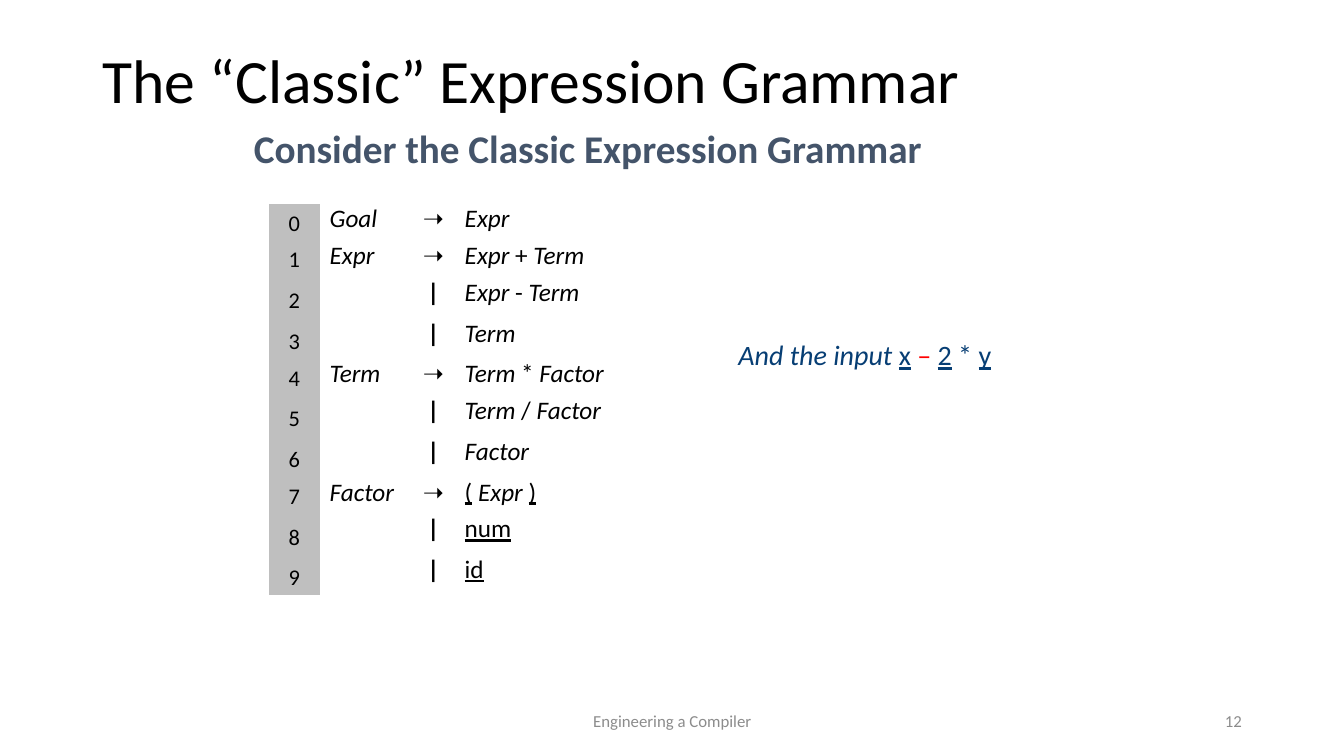
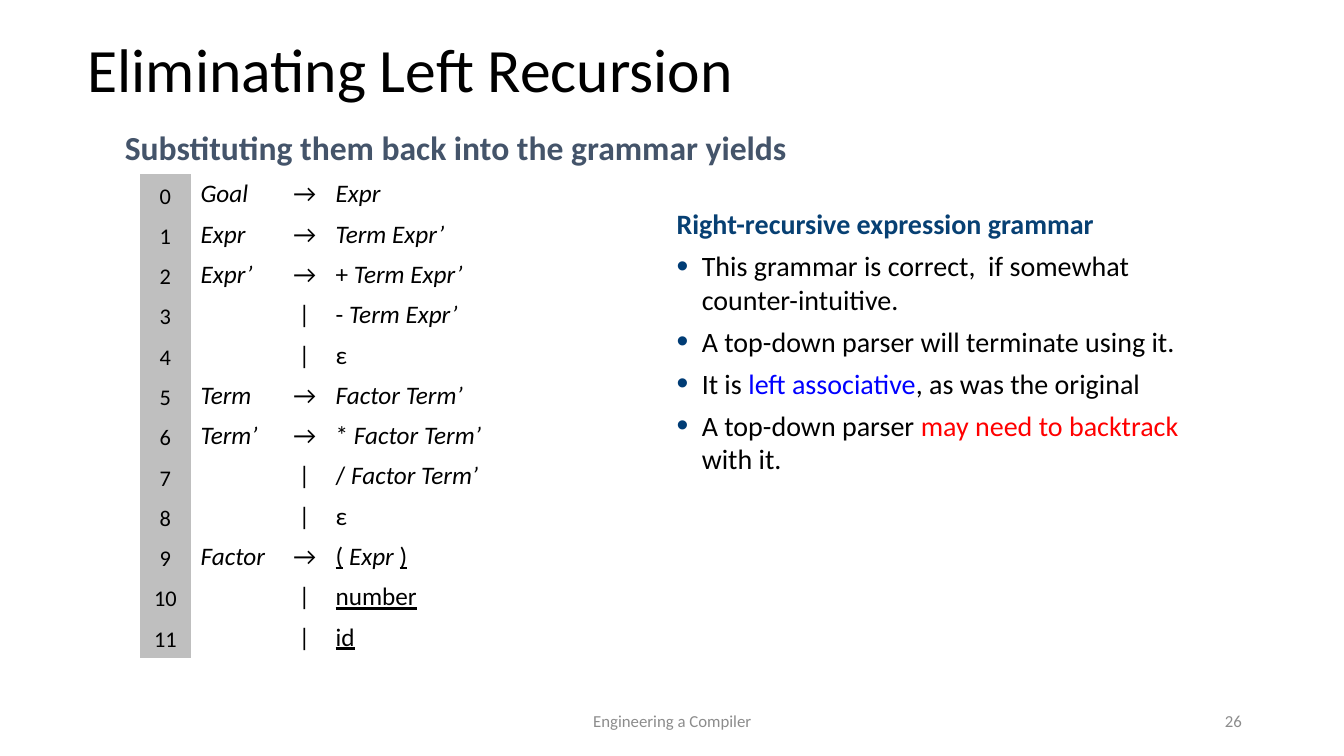
from lxml import etree
from pptx import Presentation
from pptx.dml.color import RGBColor
from pptx.enum.text import MSO_ANCHOR, PP_ALIGN
from pptx.oxml.ns import qn
from pptx.util import Inches, Pt

LEFT, CENTER, RIGHT = PP_ALIGN.LEFT, PP_ALIGN.CENTER, PP_ALIGN.RIGHT
TOP, MIDDLE, BOTTOM = MSO_ANCHOR.TOP, MSO_ANCHOR.MIDDLE, MSO_ANCHOR.BOTTOM

COLORS = {
    "text": "000000", "subtitle": "44546A", "footer": "8C8C8C",
    "number_fill": "BFBFBF", "input": "073E74", "heading": "074073",
    "bullet": "003C75", "red": "FF0000", "blue": "0000FF",
}
FONT = "Calibri"
NO_TABLE_STYLE = "{2D5ABB26-0587-4C30-8999-92F81FD0307C}"

presentation = Presentation()
presentation.slide_width, presentation.slide_height = Inches(13.33), Inches(7.5)

# Grid of 100 columns by 100 rows
COLUMN = presentation.slide_width / 100
ROW = presentation.slide_height / 100

FOOTER = "Engineering a Compiler"
NONTERMINALS = {"Goal", "Expr", "Expr’", "Term", "Term’", "Factor"}
TERMINALS = {"(", ")", "num", "number", "id"}
TABLE_COLUMNS = [3.75, 6.9, 3.15, 13.13]

# Each rule: left side, its alternatives; an alternative is split at blanks
SLIDES = [
    {
        "title": "The “Classic” Expression Grammar", "title_at": (6.9, 1.33),
        "subtitle": "Consider the Classic Expression Grammar",
        "subtitle_at": (18.15, 16.53), "subtitle_size": 28,
        "table_at": (20.03, 26.93), "arrow": "➝", "bold_signs": True,
        "line_spacing": Pt(19), "number_spacing": 0.8,
        "rule_height": 4.85, "alternative_height": 5.4,
        "rules": [
            ("Goal", ["Expr"]),
            ("Expr", ["Expr + Term", "Expr - Term", "Term"]),
            ("Term", ["Term * Factor", "Term / Factor", "Factor"]),
            ("Factor", ["( Expr )", "num", "id"]),
        ],
        "note_at": (53.4, 44, 21.9, 5.87),
        "note": [
            {"runs": [("And the input ", "i"), ("x", "u"), (" ", ""), ("– ", "", "red"),
                      ("2", "u"), (" * ", ""), ("y", "u")],
             "color": "input", "align": CENTER},
        ],
        "number": "12",
    },
    {
        "title": "Eliminating Left Recursion", "title_at": (5.78, 0),
        "subtitle": "Substituting them back into the grammar yields",
        "subtitle_at": (8.55, 16.67), "subtitle_size": 24,
        "table_at": (10.43, 23.07), "arrow": "→", "bold_signs": False,
        "line_spacing": 1.0, "number_spacing": 1.0,
        "rule_height": 5.33, "alternative_height": 5.33,
        "rules": [
            ("Goal", ["Expr"]),
            ("Expr", ["Term Expr’"]),
            ("Expr’", ["+ Term Expr’", "- Term Expr’", "ε"]),
            ("Term", ["Factor Term’"]),
            ("Term’", ["* Factor Term’", "/ Factor Term’", "ε"]),
            ("Factor", ["( Expr )", "number", "id"]),
        ],
        "note_at": (49.6, 26.67, 39, 37.2),
        "note": [
            {"runs": [("Right-recursive expression grammar", "b")],
             "color": "heading", "before": 12},
            {"runs": [("This grammar is correct,  if somewhat counter-intuitive.", "")],
             "before": 6, "bullet": True},
            {"runs": [("A top-down parser will terminate using it.", "")],
             "before": 6, "bullet": True},
            {"runs": [("It is ", ""), ("left associative", "", "blue"),
                      (", as was the original", "")],
             "before": 6, "bullet": True},
            {"runs": [("A top-down parser ", ""), ("may need to backtrack ", "", "red"),
                      ("with it.", "")],
             "before": 6, "bullet": True},
        ],
        "number": "26",
    },
]


def write(paragraph, runs, size, color="text", align=LEFT, spacing=None):
    """Fill a paragraph; a run is text, style letters (b, i, u) and maybe a colour."""
    paragraph.alignment = align
    paragraph.line_spacing = spacing
    paragraph.font.name = FONT
    paragraph.font.size = Pt(size)
    paragraph.font.color.rgb = RGBColor.from_string(COLORS[color])
    for text, style, *run_color in runs:
        run = paragraph.add_run()
        run.text = text
        for letter, attribute in (("b", "bold"), ("i", "italic"), ("u", "underline")):
            if letter in style:
                setattr(run.font, attribute, True)
        if run_color:
            run.font.color.rgb = RGBColor.from_string(COLORS[run_color[0]])


def add_text_frame(slide, left, top, width, height, anchor=TOP):
    """Add a wrapping text box, placed in grid units."""
    box = slide.shapes.add_textbox(round(left * COLUMN), round(top * ROW),
                                   round(width * COLUMN), round(height * ROW))
    box.text_frame.word_wrap = True
    box.text_frame.vertical_anchor = anchor
    return box.text_frame


for content in SLIDES:
    slide = presentation.slides.add_slide(presentation.slide_layouts[6])

    # Title and subtitle
    frame = add_text_frame(slide, *content["title_at"], 86.25, 19.33, MIDDLE)
    write(frame.paragraphs[0], [(content["title"], "")], 44, spacing=0.9)
    frame = add_text_frame(slide, *content["subtitle_at"], 64.13, 8)
    write(frame.paragraphs[0], [(content["subtitle"], "b")],
          content["subtitle_size"], "subtitle", spacing=0.9)

    # Grammar table: number, left side, sign, right side
    productions = [
        ("" if index else name, "|" if index else content["arrow"], alternative)
        for name, alternatives in content["rules"]
        for index, alternative in enumerate(alternatives)
    ]
    heights = [content["rule_height" if name else "alternative_height"]
               for name, _, _ in productions]
    left, top = content["table_at"]
    table_frame = slide.shapes.add_table(
        len(productions), len(TABLE_COLUMNS), round(left * COLUMN), round(top * ROW),
        round(sum(TABLE_COLUMNS) * COLUMN), round(sum(heights) * ROW))
    table = table_frame.table
    table.first_row = table.horz_banding = False
    table._tbl.tblPr.find(qn("a:tableStyleId")).text = NO_TABLE_STYLE
    for table_column, width in zip(table.columns, TABLE_COLUMNS):
        table_column.width = round(width * COLUMN)

    for index, (name, sign, alternative) in enumerate(productions):
        table.rows[index].height = round(heights[index] * ROW)
        cells = [table.cell(index, position) for position in range(len(TABLE_COLUMNS))]
        for cell in cells:
            cell.margin_top = cell.margin_bottom = round(0.6 * ROW)
            cell.fill.background()
        number_cell, name_cell, sign_cell, right_cell = cells

        number_cell.fill.solid()
        number_cell.fill.fore_color.rgb = RGBColor.from_string(COLORS["number_fill"])
        number_cell.vertical_anchor = BOTTOM
        write(number_cell.text_frame.paragraphs[0], [(str(index), "")], 16,
              align=CENTER, spacing=content["number_spacing"])

        right_runs = []
        for symbol in alternative.split():
            if right_runs:
                right_runs.append((" ", ""))
            style = "i" if symbol in NONTERMINALS else "u" if symbol in TERMINALS else ""
            right_runs.append((symbol, style))
        sign_style = "b" if content["bold_signs"] else ""
        for cell, runs, align in (
            (name_cell, [(name, "i")] if name else [], LEFT),
            (sign_cell, [(sign, sign_style)], CENTER),
            (right_cell, right_runs, LEFT),
        ):
            if runs:
                write(cell.text_frame.paragraphs[0], runs, 18, align=align,
                      spacing=content["line_spacing"])

    # Note beside the table
    frame = add_text_frame(slide, *content["note_at"])
    for index, line in enumerate(content["note"]):
        paragraph = frame.add_paragraph() if index else frame.paragraphs[0]
        write(paragraph, line["runs"], 20, line.get("color", "text"),
              line.get("align", LEFT))
        paragraph.space_before = Pt(line.get("before", 0))
        if line.get("bullet"):
            properties = paragraph._p.get_or_add_pPr()
            properties.set("marL", str(Inches(0.25)))
            properties.set("indent", str(-Inches(0.25)))
            bullet_color = etree.Element(qn("a:buClr"))
            etree.SubElement(bullet_color, qn("a:srgbClr"), val=COLORS["bullet"])
            default_font = properties.find(qn("a:defRPr"))
            for element in (
                bullet_color,
                etree.Element(qn("a:buSzPct"), val="120000"),
                etree.Element(qn("a:buFont"), typeface="Arial"),
                etree.Element(qn("a:buChar"), char="•"),
            ):
                default_font.addprevious(element)

    # Footer and slide number
    for text, left, width, align in ((FOOTER, 33.15, 33.75, CENTER),
                                     (content["number"], 70.65, 22.5, RIGHT)):
        frame = add_text_frame(slide, left, 92.67, width, 5.33, MIDDLE)
        write(frame.paragraphs[0], [(text, "")], 12, "footer", align)

presentation.save("out.pptx")
